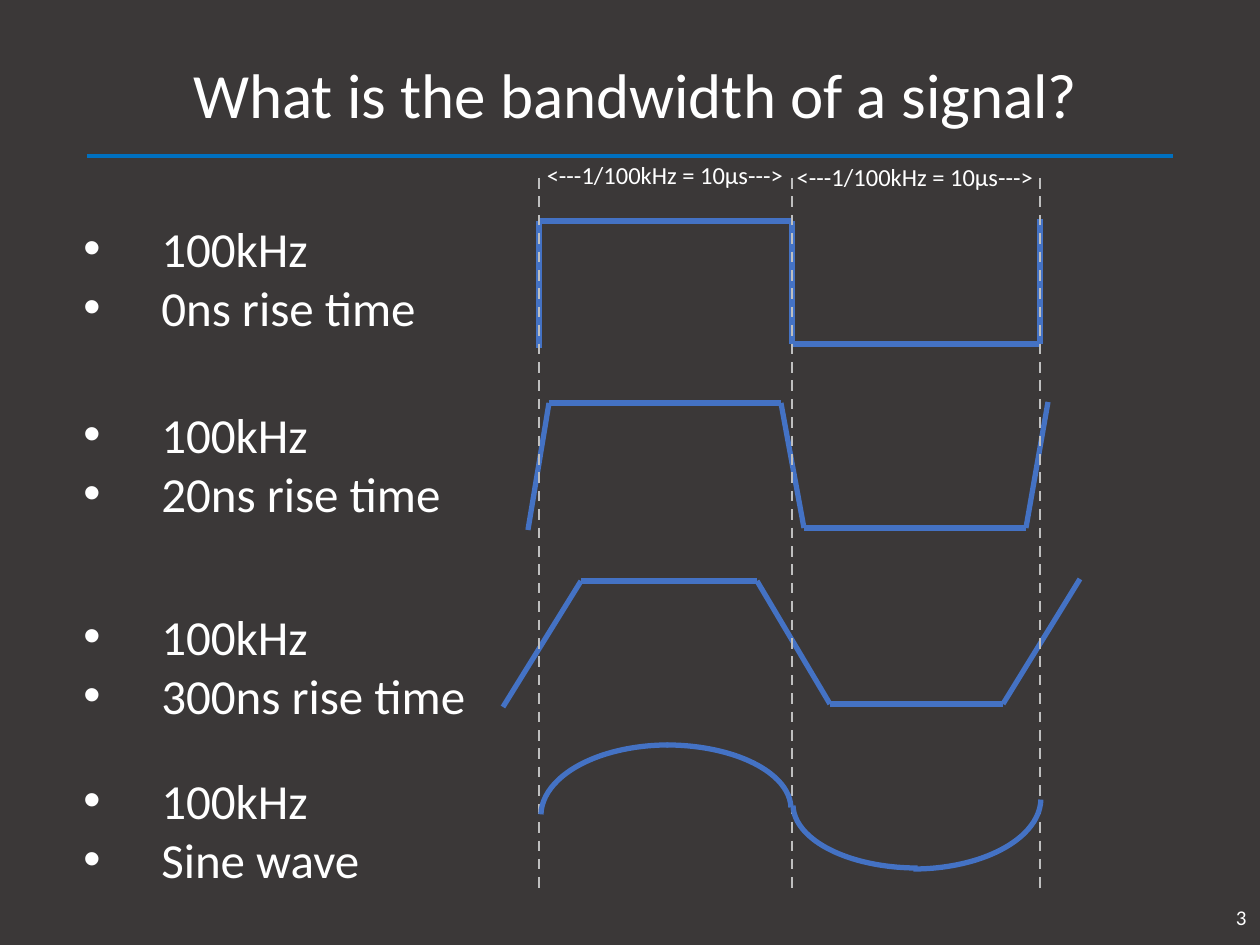
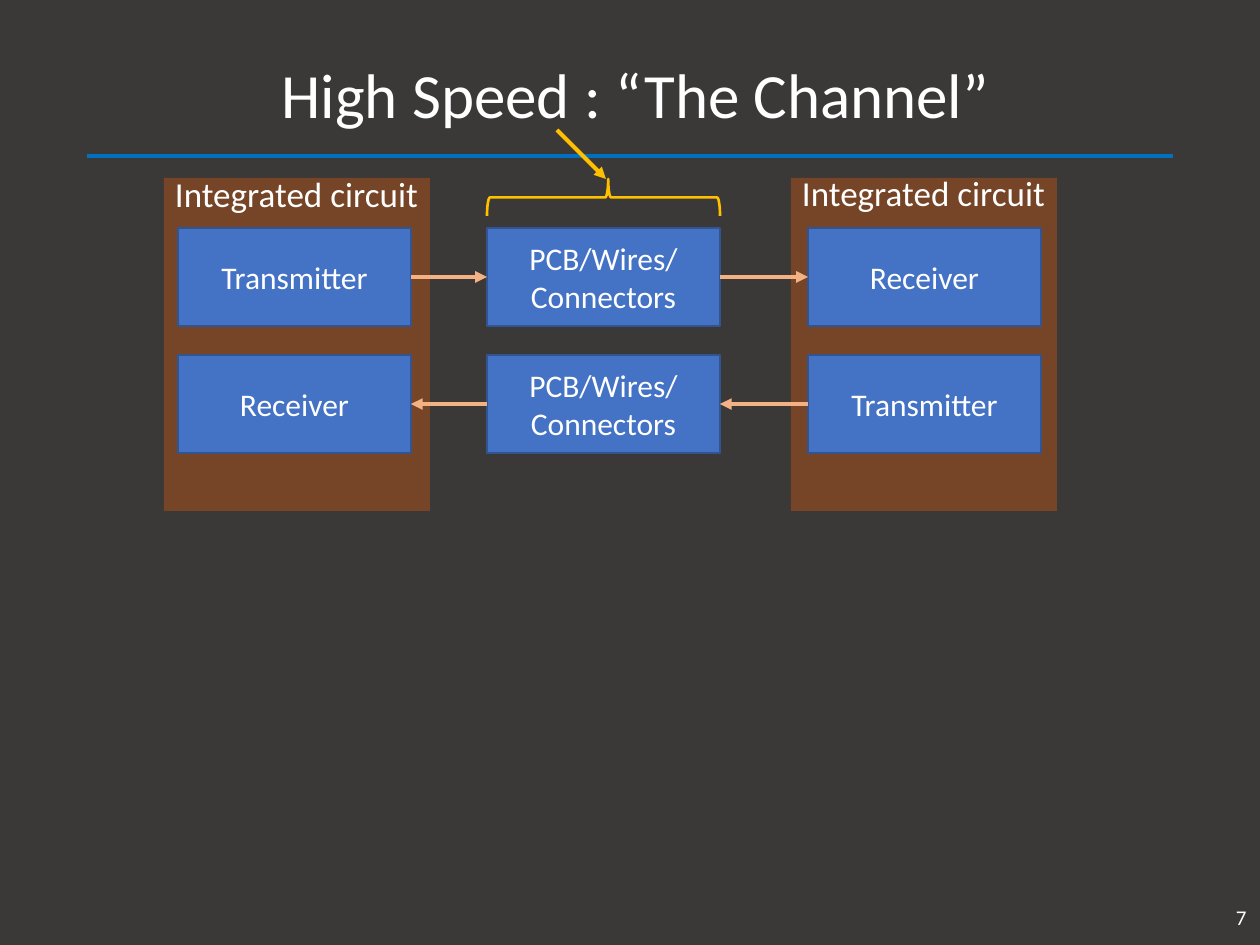
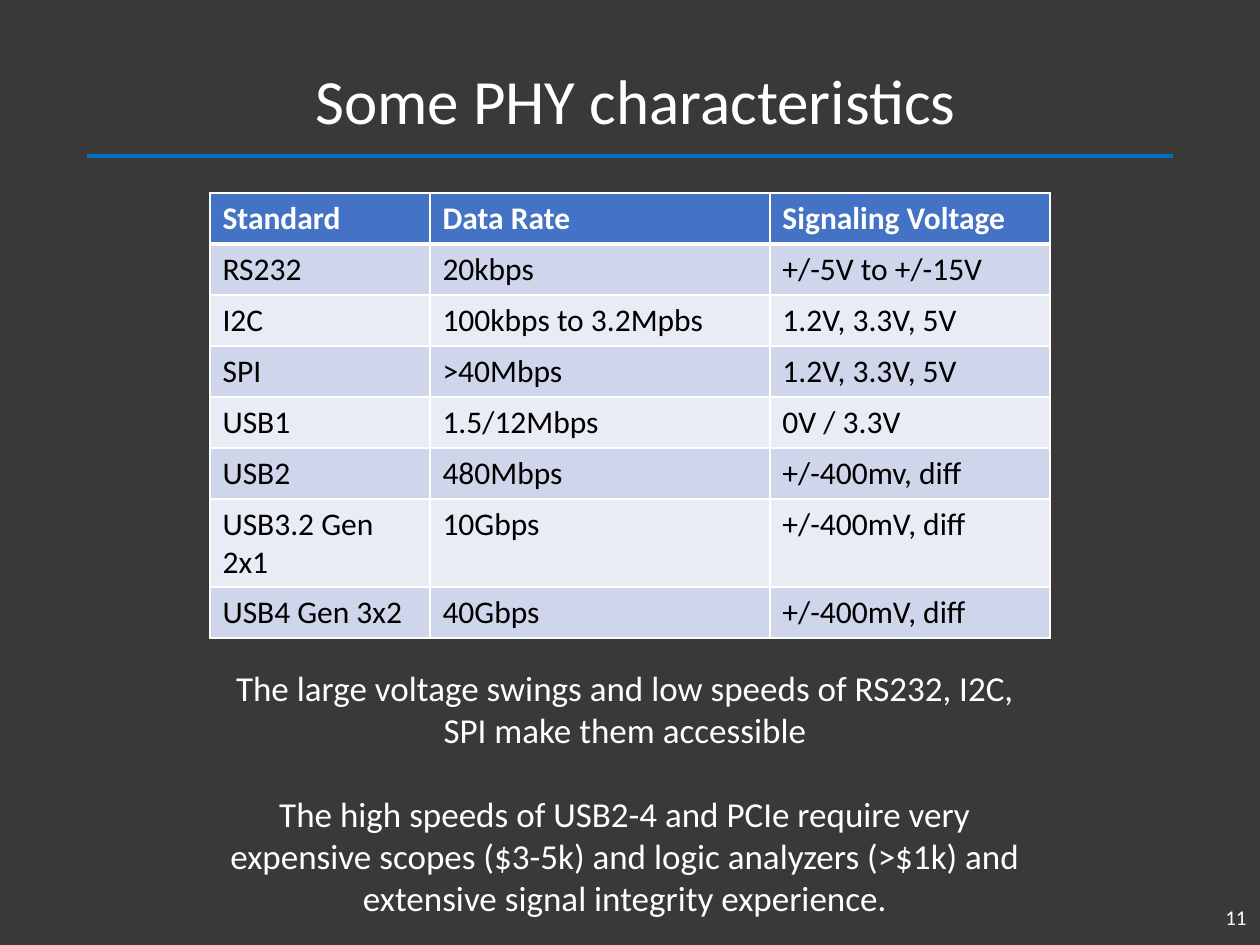
from itertools import pairwise

from lxml import etree
from pptx import Presentation, util as u
from pptx.dml.color import RGBColor
from pptx.enum import dml, shapes, text
from pptx.oxml.ns import qn

SCALE = 914400 / 126
DARK, WHITE, BLACK = "3B3838", "FFFFFF", "000000"
RULE, BLUE, EDGE, GREY = "0070C0", "4472C4", "325491", "BFBFBF"
ORANGE, PEACH, GOLD = "FF6600", "F4B183", "FFC000"
BANDS = ("E9EBF5", "CFD5EA")
LEFT, MID, RIGHT = text.PP_ALIGN.LEFT, text.PP_ALIGN.CENTER, text.PP_ALIGN.RIGHT
TOP, CORE = text.MSO_ANCHOR.TOP, text.MSO_ANCHOR.MIDDLE
KIND = shapes.MSO_SHAPE


def px(*nums):
    return [u.Emu(round(n * SCALE)) for n in nums]


def put(obj, **vals):
    """Set each named attribute on obj."""
    for key, val in vals.items():
        setattr(obj, key, val)


def paint(fill, hue):
    fill.solid()
    fill.fore_color.rgb = RGBColor.from_string(hue)


def add(root, tag, **vals):
    """Append a DrawingML child with the given attributes."""
    return etree.SubElement(root, qn("a:" + tag), vals)


class Deck:
    font = "Calibri"

    def __init__(self):
        self.prs = Presentation()
        wide, high = px(1260, 945)
        put(self.prs, slide_width=wide, slide_height=high)
        self.slide = None

    def page(self, title, num, box=(64, 30, 1143, 137)):
        """Start a slide with its background, rule, title and number."""
        self.slide = self.prs.slides.add_slide(self.prs.slide_layouts[6])
        paint(self.slide.background.fill, DARK)
        self.line((87, 156), (1173, 156), RULE, 2.25)
        self.text(box, [title], 36, anchor=CORE, gap={"line_spacing": 0.9})
        self.text((975, 892, 284, 50), [num], 12, RIGHT, CORE)

    def words(self, frame, rows, size, align=MID, hue=WHITE, bold=False, gap=None):
        """Fill a text frame, one paragraph for each row."""
        for i, row in enumerate(rows):
            para = frame.add_paragraph() if i else frame.paragraphs[0]
            put(para, alignment=align, **(gap or {}))
            run = para.add_run()
            run.text = row
            put(run.font, name=self.font, size=u.Pt(size), bold=bold)
            paint(run.font.fill, hue)

    def text(self, box, rows, size, align=MID, anchor=TOP, wrap=True, gap=None):
        frame = self.slide.shapes.add_textbox(*px(*box)).text_frame
        put(frame, word_wrap=wrap, vertical_anchor=anchor)
        self.words(frame, rows, size, align, gap=gap)
        return frame

    def list(self, box, rows):
        """Place a bulleted list."""
        dent = px(78)[0]
        for para in self.text(box, rows, 28, LEFT).paragraphs:
            prop = para._p.get_or_add_pPr()
            prop.set("marL", str(int(dent)))
            prop.set("indent", str(-dent))
            add(prop, "buFont", typeface="Arial")
            add(prop, "buChar", char="•")

    def line(self, start, end, hue, width, dash=None, arrow=False):
        link = self.slide.shapes.add_connector(
            shapes.MSO_CONNECTOR.STRAIGHT, *px(*start, *end))
        paint(link.line.fill, hue)
        put(link.line, width=u.Pt(width), dash_style=dash)
        if arrow:
            add(link.get_or_add_ln(), "tailEnd", type="triangle")
        add(link.element.spPr, "effectLst")

    def shape(self, kind, box, fill=None, line=None, width=1, alpha=None,
              adj=(), turn=0, flip=False):
        item = self.slide.shapes.add_shape(kind, *px(*box))
        item.shadow.inherit = False
        item.rotation = turn
        for i, val in enumerate(adj):
            item.adjustments[i] = val
        if fill:
            paint(item.fill, fill)
        else:
            item.fill.background()
        if alpha:
            hue = item.element.spPr.find(".//" + qn("a:srgbClr"))
            add(hue, "alpha", val=str(alpha * 1000))
        if line:
            paint(item.line.fill, line)
            item.line.width = u.Pt(width)
        else:
            item.line.fill.background()
        if flip:
            item.element.spPr.find(qn("a:xfrm")).set("flipH", "1")
        return item

    def block(self, box, rows):
        frame = self.shape(KIND.RECTANGLE, box, BLUE, EDGE).text_frame
        put(frame, word_wrap=True, vertical_anchor=CORE)
        self.words(frame, rows, 18)

    def table(self, spot, cols, high, rows):
        box = px(*spot, sum(cols), high * len(rows))
        grid = self.slide.shapes.add_table(len(rows), len(cols), *box).table
        grid.horz_banding = False
        for col, wide in zip(grid.columns, px(*cols)):
            col.width = wide
        for r, row in enumerate(rows):
            head = r == 0
            for c, word in enumerate(row):
                cell = grid.cell(r, c)
                self.words(cell.text_frame, [word], 18, LEFT,
                           WHITE if head else BLACK, head)
                self.edge(cell, head)
                paint(cell.fill, BLUE if head else BANDS[r % 2])

    def edge(self, cell, head):
        """Draw white cell borders, heavy below the head row."""
        prop = cell._tc.get_or_add_tcPr()
        for side in "LRTB" if head else "LRB":
            width = u.Pt(3 if head and side == "B" else 1)
            rim = add(prop, "ln" + side, w=str(int(width)))
            add(add(rim, "solidFill"), "srgbClr", val=WHITE)


def signal(deck):
    deck.page("What is the bandwidth of a signal?", "3")
    labels = ((212, "0ns rise time"), (398, "20ns rise time"),
              (600, "300ns rise time"), (764, "Sine wave"))
    for top, label in labels:
        deck.list((71, top, 428, 131), ["100kHz", label])
    waves = (
        ((539, 348), (539, 221), (792, 221), (792, 344), (1040, 344), (1040, 219)),
        ((528, 530), (549, 403), (781, 403), (804, 528), (1026, 528), (1048, 402)),
        ((503, 707), (581, 581), (757, 581), (830, 704), (1003, 704), (1080, 579)),
    )
    for wave in waves:
        for start, end in pairwise(wave):
            deck.line(start, end, BLUE, 3)
    for x in (539, 792, 1040):
        deck.line((x, 178), (x, 892), GREY, 1.5, dml.MSO_LINE.DASH)
    for x, y in ((534, 154), (784, 156)):
        deck.text((x, y, 262, 43), ["<---1/100kHz = 10µs--->"], 14, wrap=False)
    arcs = (((542, 745, 249, 127), 0, False), ((541, 745, 255, 141), 0, True),
            ((793, 741, 249, 127), 180, False), ((786, 728, 255, 141), 180, True))
    for box, turn, flip in arcs:
        deck.shape(KIND.ARC, box, line=BLUE, width=3, adj=(162, 215.71),
                   turn=turn, flip=flip)


def channel(deck):
    deck.page("High Speed : “The Channel”", "7")
    for x, top in ((791, 165), (164, 166)):
        deck.shape(KIND.RECTANGLE, (x, 178, 266, 333), ORANGE, alpha=30)
        deck.text((x - 4, top, 273, 55), ["Integrated circuit"], 20, wrap=False)
    wide, high = 233, 98
    cols = (178, 487, 808)
    wires = ["PCB/Wires/", "Connectors"]
    ends = (["Transmitter"], wires, ["Receiver"])
    for top, names, back in ((228, ends, False), (355, ends[::-1], True)):
        for x, rows in zip(cols, names):
            deck.block((x, top, wide, high), rows)
        y = top + high // 2
        for x, after in pairwise(cols):
            start, end = (x + wide, y), (after, y)
            if back:
                start, end = end, start
            deck.line(start, end, PEACH, 2.25, arrow=True)
    deck.shape(KIND.LEFT_BRACE, (585, 81, 37, 233), line=GOLD, width=1.5,
               adj=(0.08, 0.48), turn=90)
    deck.line((557, 130), (606, 179), GOLD, 2.25, arrow=True)


def traits(deck):
    deck.page("Some PHY characteristics", "11", (64, 58, 1143, 92))
    deck.table((210, 193), (220, 340, 280), 51, (
        ("Standard", "Data Rate", "Signaling Voltage"),
        ("RS232", "20kbps", "+/-5V to +/-15V"),
        ("I2C", "100kbps to 3.2Mpbs", "1.2V, 3.3V, 5V"),
        ("SPI", ">40Mbps", "1.2V, 3.3V, 5V"),
        ("USB1", "1.5/12Mbps", "0V / 3.3V"),
        ("USB2", "480Mbps", "+/-400mv, diff"),
        ("USB3.2 Gen 2x1", "10Gbps", "+/-400mV, diff"),
        ("USB4 Gen 3x2", "40Gbps", "+/-400mV, diff"),
    ))
    notes = deck.text((210, 660, 830, 267), [
        "The large voltage swings and low speeds of RS232, I2C, SPI make them accessible",
        "The high speeds of USB2-4 and PCIe require very expensive scopes ($3-5k) and "
        "logic analyzers (>$1k) and extensive signal integrity experience.",
    ], 20)
    notes.paragraphs[1].space_before = u.Pt(24)


def main():
    deck = Deck()
    for build in (signal, channel, traits):
        build(deck)
    deck.prs.save("out.pptx")


if __name__ == "__main__":
    main()
